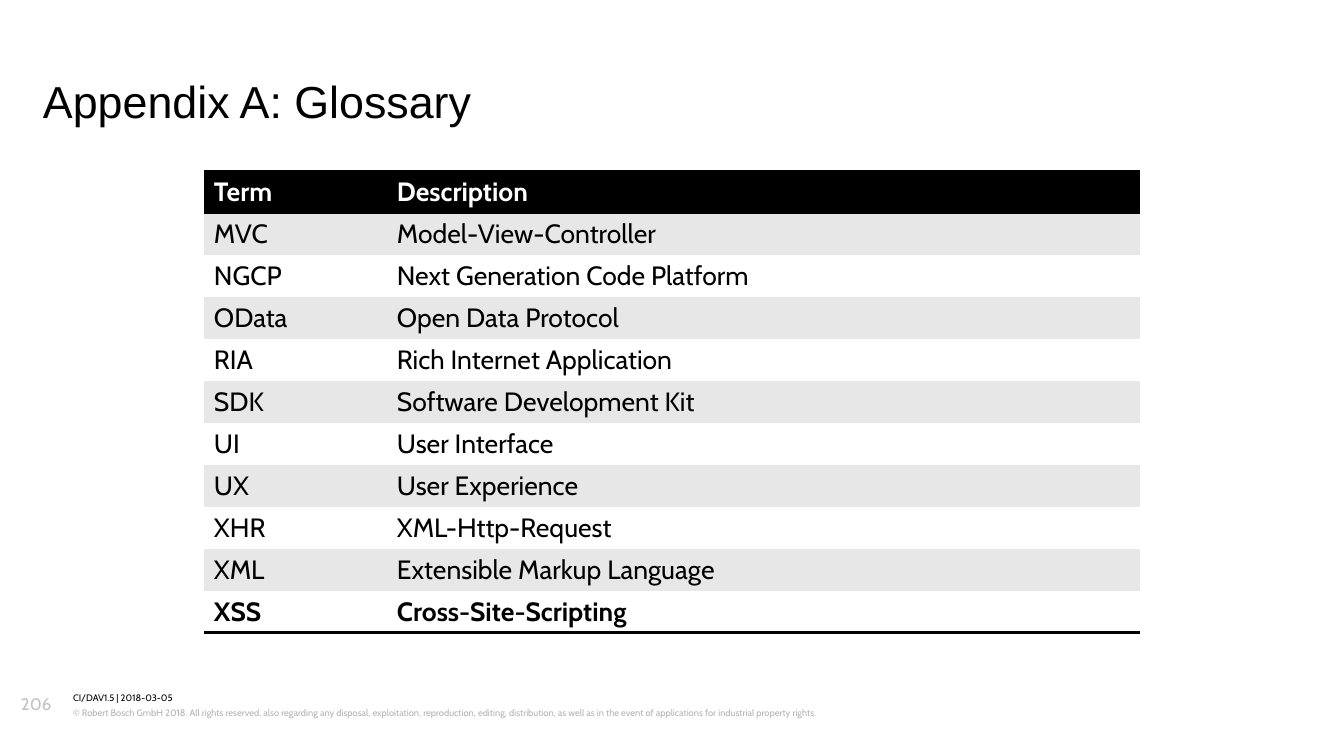
import pptx
import pptx.util
import pptx.dml.color
import pptx.enum.text
import pptx.oxml
import pptx.oxml.ns

RGBColor = pptx.dml.color.RGBColor
BLACK = RGBColor(0x00, 0x00, 0x00)
WHITE = RGBColor(0xFF, 0xFF, 0xFF)
BAND = RGBColor(0xE7, 0xE7, 0xE7)
LEGAL = RGBColor(0xB2, 0xB3, 0xB5)
PAGE = RGBColor(0xBE, 0xC0, 0xC2)

SCALE = 914400 / 112
ROW = 42
NO_STYLE = "{2D5ABB26-0587-4C30-8999-92F81FD0307C}"

TERMS = [
    ("Term", "Description"),
    ("MVC", "Model-View-Controller"),
    ("NGCP", "Next Generation Code Platform"),
    ("OData", "Open Data Protocol"),
    ("RIA", "Rich Internet Application"),
    ("SDK", "Software Development Kit"),
    ("UI", "User Interface"),
    ("UX", "User Experience"),
    ("XHR", "XML-Http-Request"),
    ("XML", "Extensible Markup Language"),
    ("XSS", "Cross-Site-Scripting"),
]


def px(n):
    return pptx.util.Emu(round(n * SCALE))


def add_run(par, text, size, color, font="Cabin", bold=False):
    run = par.add_run()
    run.text = text
    run.font.name = font
    run.font.size = pptx.util.Pt(size)
    run.font.bold = bold
    run.font.color.rgb = color


def add_text(slide, box, text, size, color, font="Cabin", space=1.07,
             anchor=pptx.enum.text.MSO_ANCHOR.TOP):
    frame = slide.shapes.add_textbox(*map(px, box)).text_frame
    frame.word_wrap = True
    frame.vertical_anchor = anchor
    frame.margin_left = frame.margin_right = 0
    frame.margin_top = frame.margin_bottom = 0
    par = frame.paragraphs[0]
    par.line_spacing = space
    add_run(par, text, size, color, font)


def add_title(slide, box):
    add_text(slide, box, "Appendix A: Glossary", 28.8, BLACK, "Arial", 0.9,
             pptx.enum.text.MSO_ANCHOR.MIDDLE)


def add_rules(cell, sides):
    """Draw 2 pt black borders on the named sides (T, B, in that order)."""
    props = cell._tc.get_or_add_tcPr()
    for i, side in enumerate(sides):
        props.insert(i, pptx.oxml.parse_xml(
            f'<a:ln{side} {pptx.oxml.ns.nsdecls("a")} w="25400"><a:solidFill>'
            f'<a:srgbClr val="{BLACK}"/></a:solidFill></a:ln{side}>'))


def add_terms(slide, box):
    left, top, width, height = box
    last = len(TERMS) - 1
    frame = slide.shapes.add_table(len(TERMS), 2, *map(px, box))
    table = frame.table
    table.first_row = table.horz_banding = False
    table._tbl.tblPr.find(pptx.oxml.ns.qn("a:tableStyleId")).text = NO_STYLE
    first = 183
    table.columns[0].width = px(first)
    table.columns[1].width = px(width - first)
    for i, words in enumerate(TERMS):
        table.rows[i].height = px(height / len(TERMS))
        head = i == 0
        fill = BLACK if head else BAND if i % 2 else WHITE
        for j, word in enumerate(words):
            cell = table.cell(i, j)
            cell.margin_left = cell.margin_right = px(10)
            cell.margin_top = cell.margin_bottom = px(5)
            cell.fill.solid()
            cell.fill.fore_color.rgb = fill
            add_run(cell.text_frame.paragraphs[0], word, 17,
                    WHITE if head else BLACK, bold=i in (0, last))
            add_rules(cell, "TB" if head else "B" if i == last else "")


def add_foot(slide, box):
    left, top, width, height = box
    text = left + 52
    wide = width - 52
    add_text(slide, (text, top, wide, 13), "CI/DAV1.5 | 2018-03-05", 6, BLACK)
    add_text(slide, (text, top + 15, wide, 27),
             "© Robert Bosch GmbH 2018. All rights reserved, also regarding "
             "any disposal, exploitation, reproduction, editing, "
             "distribution, as well as in the event of applications for "
             "industrial property rights.", 6, LEGAL)
    add_text(slide, (left, top + 1, 43, 28), "206", 10.8, PAGE)


def main():
    deck = pptx.Presentation()
    deck.slide_width, deck.slide_height = px(1344), px(756)
    slide = deck.slides.add_slide(deck.slide_layouts[6])
    add_foot(slide, (21, 691, 1173, 42))
    add_title(slide, (43, 80, 1007, 48))
    add_terms(slide, (204, 171, 936, ROW * len(TERMS)))
    deck.save("out.pptx")


if __name__ == "__main__":
    main()
